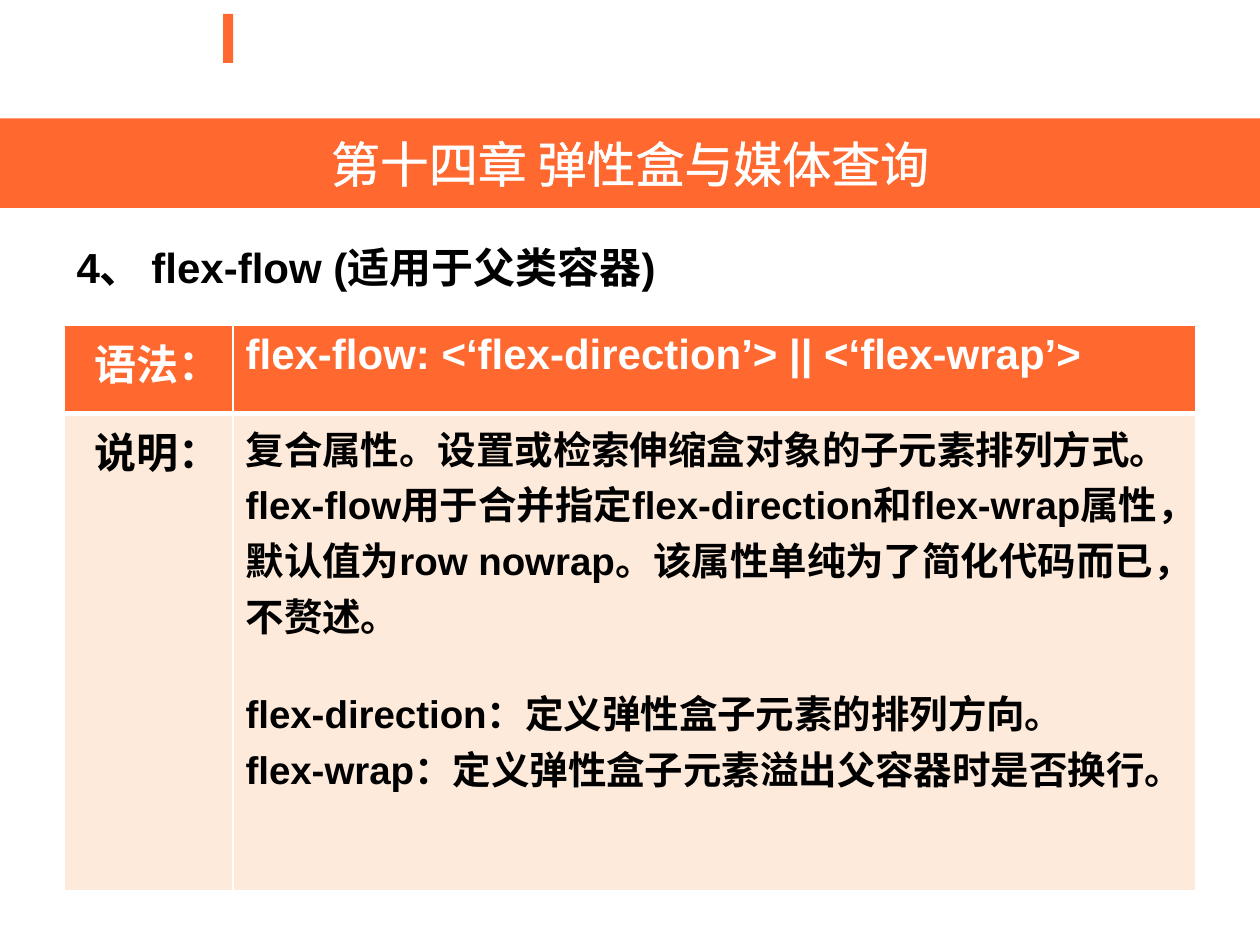
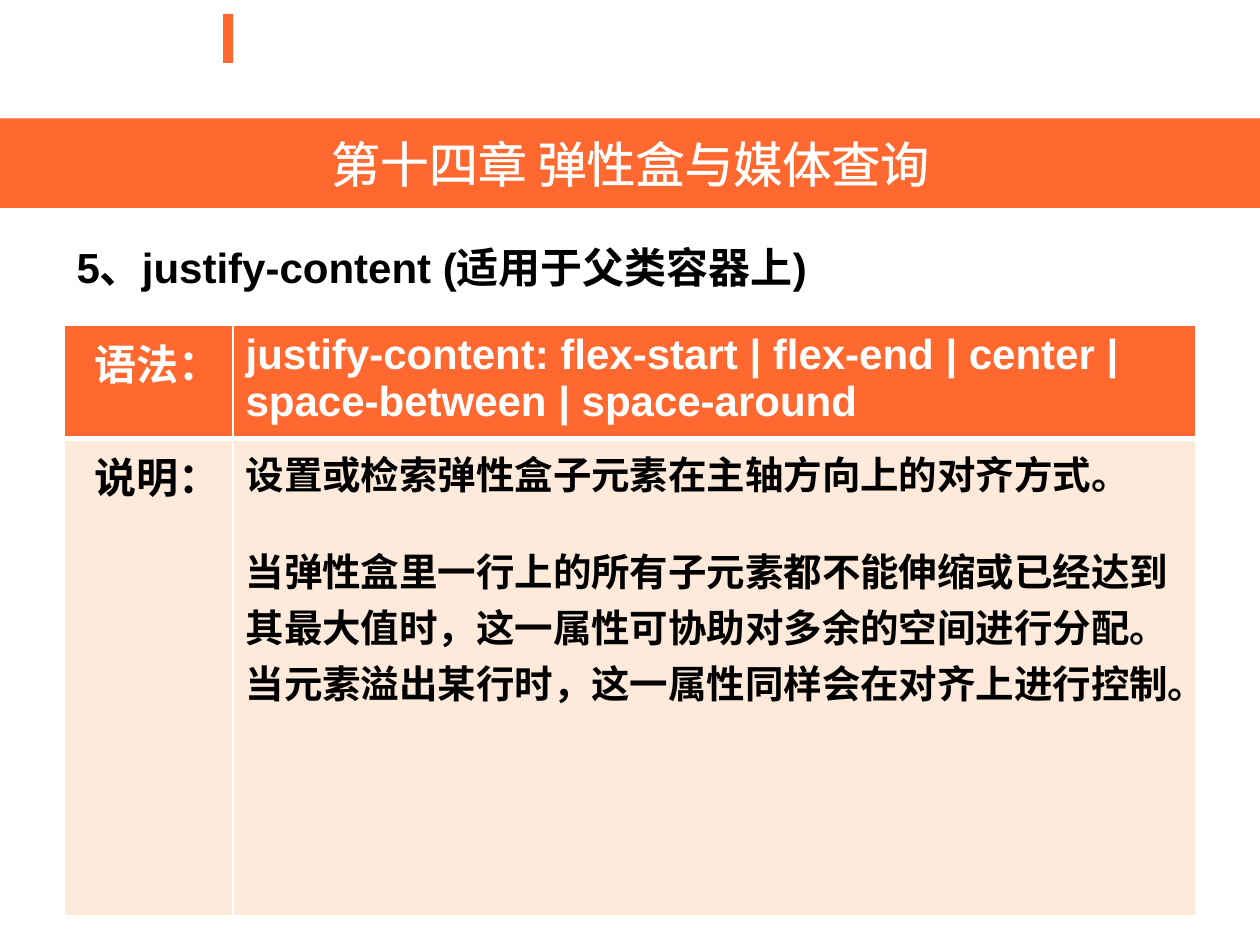
from dataclasses import dataclass
from lxml.etree import SubElement
from pptx import Presentation
from pptx.dml.color import RGBColor
from pptx.enum.shapes import MSO_SHAPE
from pptx.enum.text import MSO_ANCHOR, PP_ALIGN
from pptx.oxml.ns import qn
from pptx.util import Inches, Pt


@dataclass(frozen=True)
class Theme:
    font: str = "Arial"
    accent: str = "FF682F"
    tint: str = "FDEADA"
    white: str = "FFFFFF"
    black: str = "000000"
    chapter: int = 28
    heading: int = 24
    body: int = 22
    thin: float = 1
    thick: float = 3
    outline: float = 1.45


T = Theme()
CHAPTER = "第十四章 弹性盒与媒体查询"

TOPICS = [
    dict(
        heading="4、 flex-flow (适用于父类容器)",
        syntax="flex-flow: <‘flex-direction’> || <‘flex-wrap’>",
        groups=[
            ["复合属性。设置或检索伸缩盒对象的子元素排列方式。",
             "flex-flow用于合并指定flex-direction和flex-wrap属性，默认值为row nowrap。"
             "该属性单纯为了简化代码而已，不赘述。"],
            ["flex-direction：定义弹性盒子元素的排列方向。",
             "flex-wrap：定义弹性盒子元素溢出父容器时是否换行。"],
        ],
    ),
    dict(
        heading="5、justify-content (适用于父类容器上)",
        syntax="justify-content: flex-start | flex-end | center | space-between | space-around",
        groups=[
            ["设置或检索弹性盒子元素在主轴方向上的对齐方式。"],
            ["当弹性盒里一行上的所有子元素都不能伸缩或已经达到其最大值时，"
             "这一属性可协助对多余的空间进行分配。"
             "当元素溢出某行时，这一属性同样会在对齐上进行控制。"],
        ],
    ),
]


def add_line(parent, tag, color, width):
    ln = SubElement(parent, qn(tag), w=str(Pt(width)))
    fill = SubElement(ln, qn("a:solidFill"))
    SubElement(fill, qn("a:srgbClr"), val=color)
    return ln


def write(p, text, size=T.heading, color=T.black, bold=True, align=PP_ALIGN.LEFT, before=0):
    p.alignment = align
    p.space_before = Pt(before)
    r = p.add_run()
    r.text = text
    r.font.name = T.font
    r.font.size = Pt(size)
    r.font.bold = bold
    r.font.color.rgb = RGBColor.from_string(color)
    return r


def add_bar(s, x, y, w, h):
    sp = s.shapes.add_shape(MSO_SHAPE.RECTANGLE, Inches(x), Inches(y), Inches(w), Inches(h))
    sp.shadow.inherit = False
    sp.fill.solid()
    sp.fill.fore_color.rgb = RGBColor.from_string(T.accent)
    sp.line.fill.background()
    return sp


def add_chapter_band(s, x, y, w, h):
    tf = add_bar(s, x, y, w, h).text_frame
    tf.word_wrap = True
    tf.vertical_anchor = MSO_ANCHOR.MIDDLE
    r = write(tf.paragraphs[0], CHAPTER, size=T.chapter, color=T.white, bold=False,
              align=PP_ALIGN.CENTER)
    rPr = r.font._element
    rPr.insert(0, add_line(rPr, "a:ln", T.white, T.outline))


def add_heading(s, text, x, y, w, h):
    tf = s.shapes.add_textbox(Inches(x), Inches(y), Inches(w), Inches(h)).text_frame
    tf.word_wrap = True
    write(tf.paragraphs[0], text, before=6)


def style_cell(cell, fill, top, bottom):
    tcPr = cell._tc.get_or_add_tcPr()
    for side, width in zip("LRTB", (T.thin, T.thin, top, bottom)):
        add_line(tcPr, f"a:ln{side}", T.white, width)
    cell.fill.solid()
    cell.fill.fore_color.rgb = RGBColor.from_string(fill)


def add_syntax_table(s, syntax, groups, x, y, cols, rows):
    table = s.shapes.add_table(2, 2, Inches(x), Inches(y),
                               Inches(sum(cols)), Inches(sum(rows))).table
    table.horz_banding = False
    for col, width in zip(table.columns, cols):
        col.width = Inches(width)
    for row, height in zip(table.rows, rows):
        row.height = Inches(height)
    looks = [("语法：", T.accent, T.white, T.thin, T.thick),
             ("说明：", T.tint, T.black, T.thick, T.thin)]
    for i, (label, fill, color, top, bottom) in enumerate(looks):
        for j in range(2):
            style_cell(table.cell(i, j), fill, top, bottom)
        write(table.cell(i, 0).text_frame.paragraphs[0], label, color=color,
              align=PP_ALIGN.RIGHT)
    write(table.cell(0, 1).text_frame.paragraphs[0], syntax, color=T.white)
    tf = table.cell(1, 1).text_frame
    for g, group in enumerate(groups):
        for n, text in enumerate(group):
            p = tf.add_paragraph() if g or n else tf.paragraphs[0]
            write(p, text, size=T.body, before=24 if g and not n else 0)


def add_topic_slide(prs, heading, syntax, groups):
    s = prs.slides.add_slide(prs.slide_layouts[6])
    add_bar(s, 1.77, 0.11, 0.08, 0.39)
    add_chapter_band(s, 0, 0.94, 10, 0.71)
    add_heading(s, heading, 0.51, 1.87, 9, 4.72)
    add_syntax_table(s, syntax, groups, 0.51, 2.58, cols=(1.34, 7.64), rows=(0.7, 3.79))


def main():
    prs = Presentation()
    prs.slide_width, prs.slide_height = Inches(10), Inches(7.5)
    for topic in TOPICS:
        add_topic_slide(prs, **topic)
    prs.save("out.pptx")


if __name__ == "__main__":
    main()
